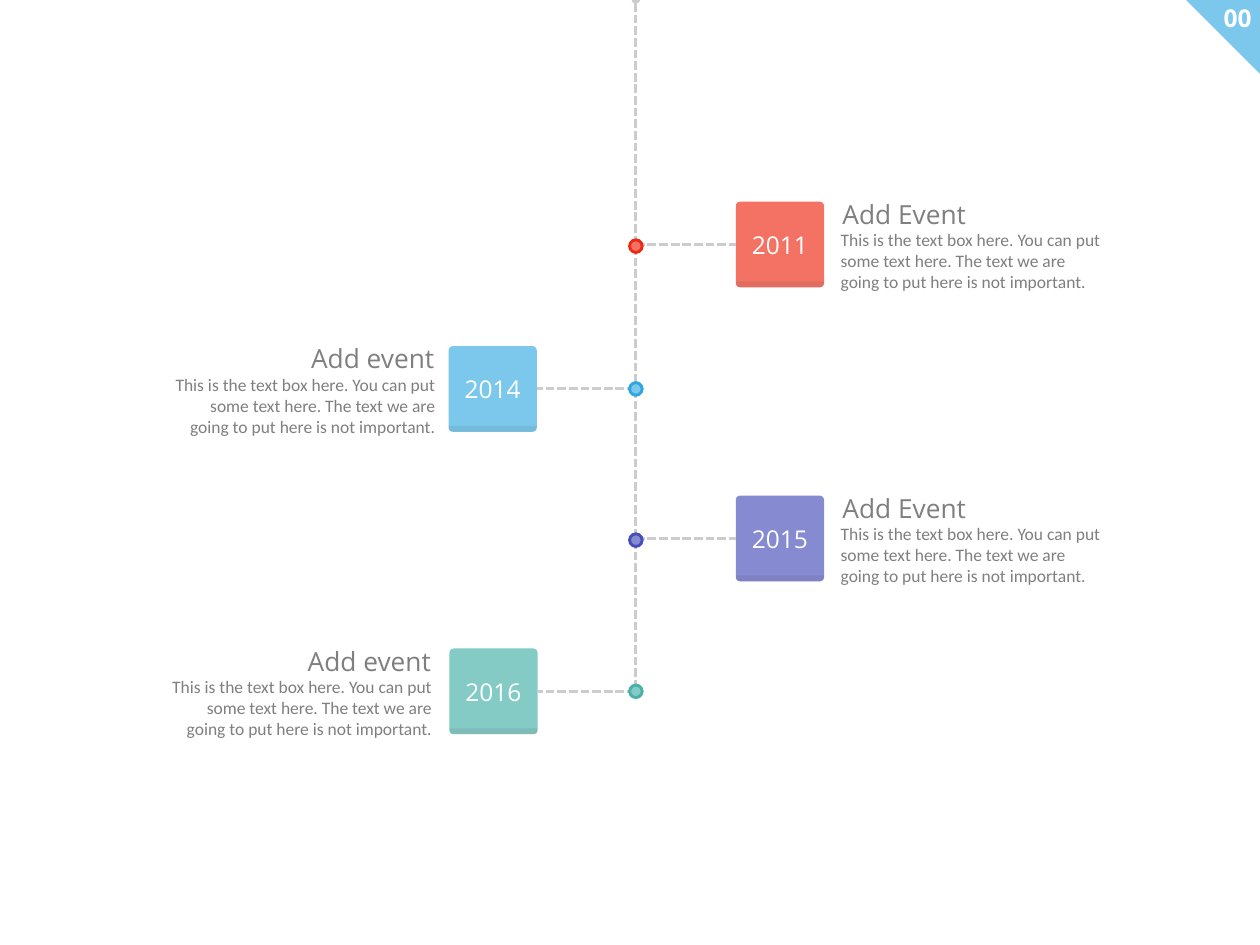
"""Build a vertical timeline slide with four dated events."""
from dataclasses import dataclass
from itertools import pairwise

from lxml import etree
from pptx import Presentation
from pptx.dml.color import RGBColor
from pptx.enum import dml, shapes, text
from pptx.oxml import ns
from pptx.util import Inches, Pt


@dataclass(frozen=True)
class Theme:
    heading_font: str = "Open Sans"
    body_font: str = "Calibri"
    heading_size: float = 22.5
    label_size: float = 21
    body_size: float = 15
    line_width: float = 2.5
    white: str = "FFFFFF"
    gray: str = "7F7F7F"
    rule: str = "CCCCCC"
    shade: str = "404040"
    red: str = "F47264"
    red_edge: str = "EE2914"
    blue: str = "7CC8EC"
    blue_edge: str = "2DA7E1"
    purple: str = "868AD1"
    purple_edge: str = "484EB9"
    teal: str = "84CBC5"
    teal_edge: str = "4BB1A8"


theme = Theme()
kinds = shapes.MSO_SHAPE
LEFT, CENTER, RIGHT = text.PP_ALIGN.LEFT, text.PP_ALIGN.CENTER, text.PP_ALIGN.RIGHT


def add_block(parent, kind, box, fill=None, adjustments=()):
    left, top, width, height = map(Inches, box)
    if kind is None:
        return parent.shapes.add_textbox(left, top, width, height)
    shape = parent.shapes.add_shape(kind, left, top, width, height)
    shape.shadow.inherit = False
    shape.fill.solid()
    shape.fill.fore_color.rgb = RGBColor.from_string(fill)
    shape.line.fill.background()
    for index, value in enumerate(adjustments):
        shape.adjustments[index] = value
    return shape


def write(shape, words, font, size, color, align, wrap=True, bold=False):
    frame = shape.text_frame
    frame.text = words
    frame.word_wrap = wrap
    paragraph = frame.paragraphs[0]
    paragraph.alignment = align
    run = paragraph.runs[0]
    run.font.name = font
    run.font.size = Pt(size)
    run.font.bold = bold
    run.font.color.rgb = RGBColor.from_string(color)


presentation = Presentation()
presentation.slide_width = Inches(15)
presentation.slide_height = Inches(11.25)
slide = presentation.slides.add_slide(presentation.slide_layouts[6])

corner = slide.shapes.add_group_shape()
triangle = add_block(corner, kinds.ISOSCELES_TRIANGLE, (14.11, -0.01, 0.89, 0.89), theme.blue, [0])
triangle.rotation = 180
number = add_block(corner, None, (14.46, -0.01, 0.54, 0.45))
write(number, "00", theme.heading_font, theme.label_size, theme.white, RIGHT, False, True)

axis_x, dot_size = 7.57, 0.15
card_width, card_height, strip_height = 1.05, 1.02, 0.07
body_text = (
    "This is the text box here. You can put some text here. "
    "The text we are going to put here is not important."
)
events = [
    ("2011", "Add Event", LEFT, 8.76, 2.4, 9.91, 2.93, theme.red, theme.red_edge),
    ("2014", "Add event", RIGHT, 5.34, 4.12, 1.98, 4.63, theme.blue, theme.blue_edge),
    ("2015", "Add Event", LEFT, 8.76, 5.9, 9.91, 6.43, theme.purple, theme.purple_edge),
    ("2016", "Add event", RIGHT, 5.35, 7.72, 1.94, 8.23, theme.teal, theme.teal_edge),
]

connectors = []
stops = [-0.01] + [event[6] for event in events]
for start, end in pairwise(stops):
    connectors.append(slide.shapes.add_connector(
        shapes.MSO_CONNECTOR.STRAIGHT,
        Inches(axis_x), Inches(start), Inches(axis_x), Inches(end)))

for year, heading, align, card_left, card_top, text_left, dot_y, fill, edge in events:
    group = slide.shapes.add_group_shape()
    on_left = align == RIGHT
    heading_left = text_left + (1.61 if on_left else 0.02)
    title = add_block(group, None, (heading_left, card_top - 0.09, 1.68, 0.48))
    write(title, heading, theme.heading_font, theme.heading_size, theme.gray, align, False)
    body = add_block(group, None, (text_left, card_top + 0.28, 3.3, 0.86))
    write(body, body_text, theme.body_font, theme.body_size, theme.gray, align)

    card = add_block(group, kinds.ROUNDED_RECTANGLE,
                     (card_left, card_top, card_width, card_height), fill, [0.05])
    card.text_frame.vertical_anchor = text.MSO_ANCHOR.MIDDLE
    write(card, year, theme.heading_font, theme.label_size, theme.white, CENTER)
    strip_top = card_top + card_height - strip_height
    strip = add_block(group, kinds.ROUND_2_SAME_RECTANGLE,
                      (card_left, strip_top, card_width, strip_height), theme.shade, [0, 0.5])
    color = strip._element.spPr.find(".//" + ns.qn("a:srgbClr"))
    etree.SubElement(color, ns.qn("a:alpha"), val="10000")

    middle = Inches(card_top + card_height / 2)
    branch = slide.shapes.add_connector(
        shapes.MSO_CONNECTOR.STRAIGHT, Inches(axis_x), middle, Inches(card_left), middle)
    branch.end_connect(card, 3 if on_left else 1)
    connectors.append(branch)

    dot = add_block(slide, kinds.OVAL,
                    (axis_x - dot_size / 2, dot_y - dot_size / 2, dot_size, dot_size), fill)
    dot.line.color.rgb = RGBColor.from_string(edge)
    dot.line.width = Pt(theme.line_width)

for connector in connectors:
    connector.line.color.rgb = RGBColor.from_string(theme.rule)
    connector.line.width = Pt(theme.line_width)
    connector.line.dash_style = dml.MSO_LINE.SQUARE_DOT
    etree.SubElement(connector._element.spPr, ns.qn("a:effectLst"))

outline = connectors[0]._element.spPr.find(ns.qn("a:ln"))
for name in ("a:headEnd", "a:tailEnd"):
    etree.SubElement(outline, ns.qn(name), type="oval")

presentation.save("out.pptx")
